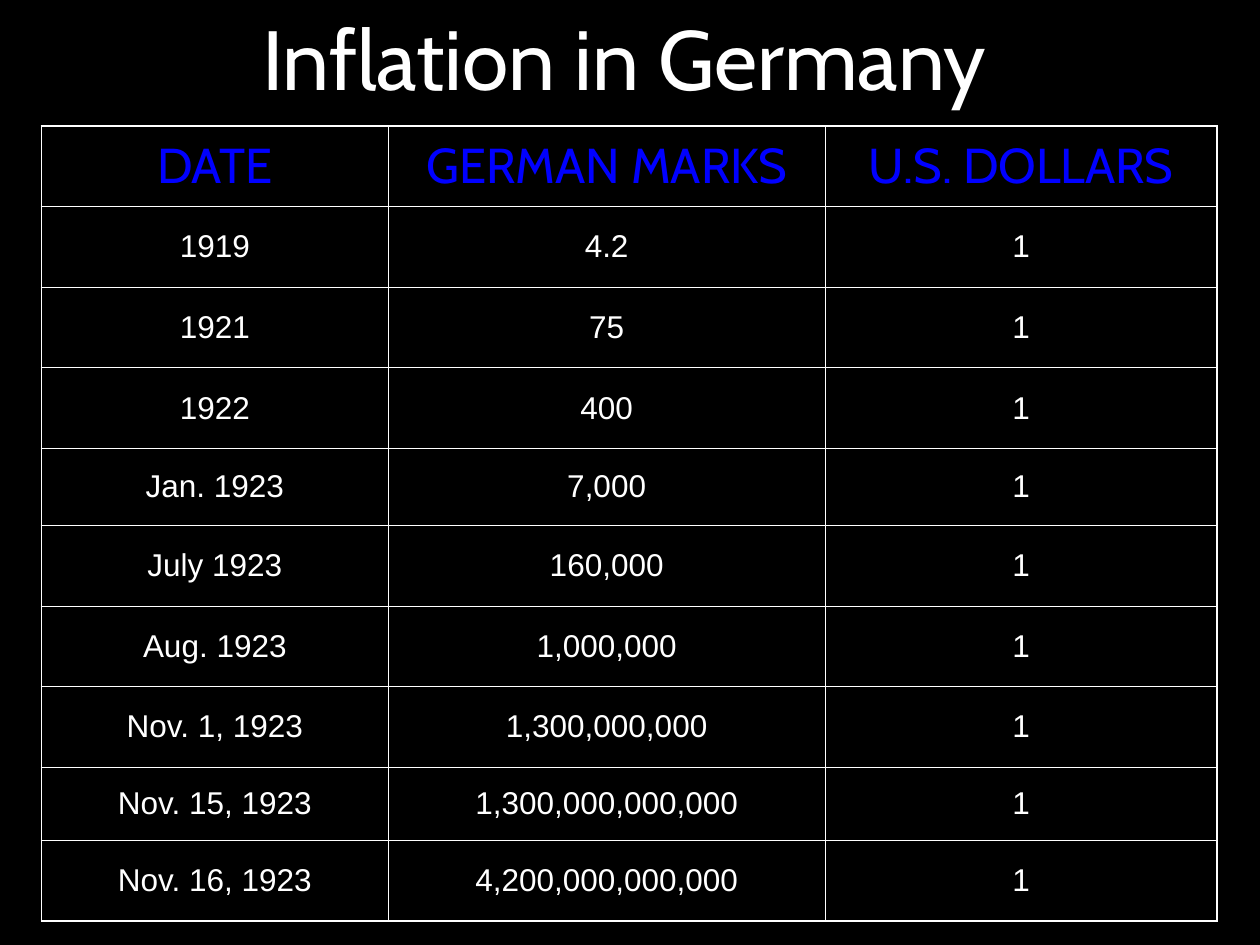
"""Build a slide with a table of German inflation from 1919 to 1923."""
from lxml.etree import SubElement
from pptx import Presentation
from pptx.dml.color import RGBColor
from pptx.enum.text import MSO_ANCHOR, PP_ALIGN
from pptx.oxml.ns import qn
from pptx.util import Inches, Pt

BLACK = RGBColor(0x00, 0x00, 0x00)
WHITE = RGBColor(0xFF, 0xFF, 0xFF)
BLUE = RGBColor(0x00, 0x00, 0xFF)

HEADER = ("DATE", "GERMAN MARKS", "U.S. DOLLARS")
MARKS_PER_DOLLAR = (
    ("1919", "4.2"),
    ("1921", "75"),
    ("1922", "400"),
    ("Jan. 1923", "7,000"),
    ("July 1923", "160,000"),
    ("Aug. 1923", "1,000,000"),
    ("Nov. 1, 1923", "1,300,000,000"),
    ("Nov. 15, 1923", "1,300,000,000,000"),
    ("Nov. 16, 1923", "4,200,000,000,000"),
)
ROWS = [HEADER] + [(date, marks, "1") for date, marks in MARKS_PER_DOLLAR]
COLUMN_WIDTHS = (2.75, 3.47, 3.11)
ROW_HEIGHTS = (0.64, 0.64, 0.64, 0.64, 0.61, 0.64, 0.64, 0.64, 0.58, 0.64)
OUTER_LINE = Pt(1.08)
INNER_LINE = Pt(0.45)


def add_centred_run(paragraph, text, font_name, size, color):
    paragraph.alignment = PP_ALIGN.CENTER
    run = paragraph.add_run()
    run.text = text
    run.font.name = font_name
    run.font.size = Pt(size)
    run.font.color.rgb = color


def add_border(cell, tag, width):
    properties = cell._tc.get_or_add_tcPr()
    line = SubElement(properties, qn(tag), w=str(width), cap="flat", cmpd="sng")
    fill = SubElement(line, qn("a:solidFill"))
    SubElement(fill, qn("a:srgbClr"), val=str(WHITE))
    SubElement(line, qn("a:prstDash"), val="solid")


presentation = Presentation()
presentation.slide_width = Inches(10)
presentation.slide_height = Inches(7.5)
slide = presentation.slides.add_slide(presentation.slide_layouts[6])
slide.background.fill.solid()
slide.background.fill.fore_color.rgb = BLACK

table_shape = slide.shapes.add_table(
    len(ROWS), len(HEADER), Inches(0.33), Inches(1),
    Inches(sum(COLUMN_WIDTHS)), Inches(sum(ROW_HEIGHTS)))
table = table_shape.table
table.first_row = False
table.horz_banding = False
for column, width in zip(table.columns, COLUMN_WIDTHS):
    column.width = Inches(width)
for row, height in zip(table.rows, ROW_HEIGHTS):
    row.height = Inches(height)

for row_index, values in enumerate(ROWS):
    for column_index, value in enumerate(values):
        cell = table.cell(row_index, column_index)
        cell.vertical_anchor = MSO_ANCHOR.MIDDLE
        outer_edges = (
            ("a:lnL", column_index == 0),
            ("a:lnR", column_index == len(HEADER) - 1),
            ("a:lnT", row_index == 0),
            ("a:lnB", row_index == len(ROWS) - 1),
        )
        for tag, is_outer in outer_edges:
            add_border(cell, tag, OUTER_LINE if is_outer else INNER_LINE)
        cell.fill.background()
        style = ("Cabin", 28, BLUE) if row_index == 0 else ("Arial", 18, WHITE)
        add_centred_run(cell.text_frame.paragraphs[0], value, *style)

title = slide.shapes.add_textbox(Inches(1.58), 0, Inches(6.75), Inches(0.9))
title.text_frame.word_wrap = True
add_centred_run(title.text_frame.paragraphs[0], "Inflation in Germany", "Cabin", 48, WHITE)

presentation.save("out.pptx")
